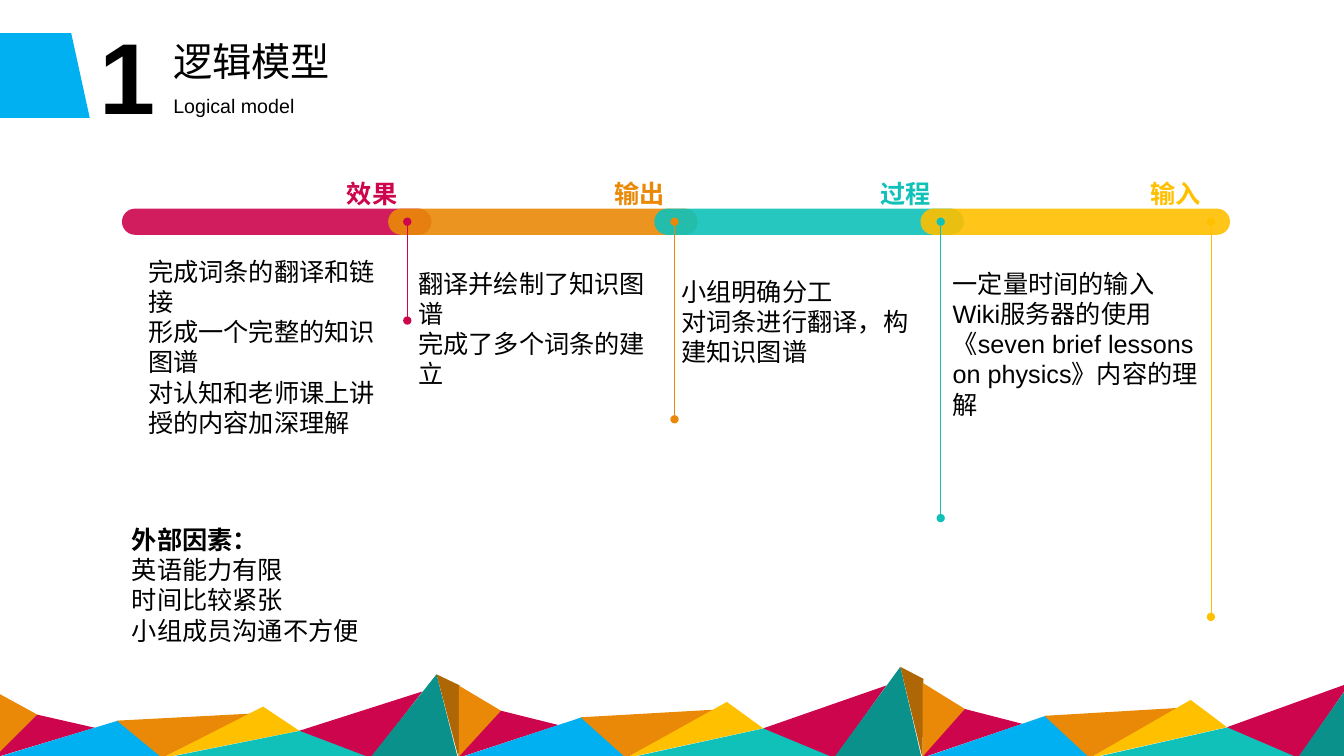
from lxml import etree
from pptx import Presentation
from pptx.dml.color import RGBColor
from pptx.enum.shapes import MSO_CONNECTOR, MSO_SHAPE
from pptx.enum.text import MSO_ANCHOR, PP_ALIGN
from pptx.oxml.ns import qn
from pptx.util import Inches, Pt

ROUNDED = MSO_SHAPE.ROUNDED_RECTANGLE
MANUAL_INPUT = MSO_SHAPE.FLOWCHART_MANUAL_INPUT
STRAIGHT = MSO_CONNECTOR.STRAIGHT
LEFT, RIGHT = PP_ALIGN.LEFT, PP_ALIGN.RIGHT
TOP = MSO_ANCHOR.TOP

COLORS = {
    "black": "000000",
    "blue": "00B0F0",
    "crimson": "CD054C",
    "orange": "EA8908",
    "teal": "0FC1B9",
    "yellow": "FFC000",
    "dark teal": "0B918B",
    "brown": "AF6706",
}
FONT = "Arial"
SLIDE_W, SLIDE_H = 13.33, 7.5

# (text, size, bold, box)
HEADINGS = [
    ("1", 72, True, (0.89, 0.09, 1.46, 1.31)),
    ("逻辑模型", 28, False, (1.62, 0.32, 1.79, 0.57)),
    ("Logical model", 14, False, (1.62, 0.88, 1.79, 0.34)),
]

# (label, color, marker x, body box, body lines)
STAGES = [
    ("效果", "crimson", 4.04, (1.37, 2.49, 2.67, 1.92),
     ["完成词条的翻译和链接", "形成一个完整的知识图谱", "对认知和老师课上讲授的内容加深理解"]),
    ("输出", "orange", 6.69, (4.05, 2.61, 2.67, 1.31),
     ["翻译并绘制了知识图谱", "完成了多个词条的建立"]),
    ("过程", "teal", 9.33, (6.66, 2.69, 2.67, 1.25),
     ["小组明确分工", "对词条进行翻译，构建知识图谱"]),
    ("输入", "yellow", 12.01, (9.35, 2.61, 2.67, 1.85),
     ["一定量时间的输入", "Wiki服务器的使用", "《seven brief lessons on physics》内容的理解"]),
]
BAR_LEFT, BAR_TOP, BAR_W, BAR_H, BAR_PITCH = 1.21, 2.07, 3.07, 0.26, 2.64
MARKER_STEP = 0.98
LABEL_TOP, LABEL_W, LABEL_H = 1.57, 0.71, 0.5

FACTORS_TITLE = "外部因素："
FACTORS = ["英语能力有限", "时间比较紧张", "小组成员沟通不方便"]
FACTORS_BOX = (1.21, 5.15, 7.43, 1.31)

# (color, corners as x and height above the ground)
FACETS = [
    ("orange", [(-0.05, 0), (-0.05, 0.66), (0.37, 0.43)]),
    ("crimson", [(-0.06, 0), (0.37, 0.43), (0.94, 0.3)]),
    ("blue", [(-0.05, 0), (1.17, 0.37), (1.63, 0)]),
    ("orange", [(1.16, 0.37), (2.49, 0.44), (1.61, 0)]),
    ("yellow", [(2.97, 0.27), (1.61, 0), (2.61, 0.51)]),
    ("teal", [(3.7, 0), (1.63, 0), (2.98, 0.27)]),
    ("crimson", [(3.68, 0), (2.97, 0.27), (4.19, 0.66)]),
    ("dark teal", [(4.54, 0), (3.67, 0), (4.33, 0.83)]),
    ("brown", [(4.56, 0.72), (4.55, 0), (4.33, 0.83)]),
]
GROUND, RANGE_PITCH = 7.52, 4.6
RANGE_SCALES = [1, 1.09, 1.13]


def rgb(color):
    """Return the named colour."""
    return RGBColor.from_string(COLORS[color])


def paint(shape, color):
    """Give a shape a plain fill without line or shadow."""
    shape.shadow.inherit = False
    shape.fill.solid()
    shape.fill.fore_color.rgb = rgb(color)
    shape.line.fill.background()


def add_text(slide, box, lines, size, color="black", bold_count=0,
             align=LEFT, spacing=None, wrap=True):
    """Write lines in a text box, the first bold_count of them bold."""
    frame = slide.shapes.add_textbox(*map(Inches, box)).text_frame
    frame.word_wrap = wrap
    frame.vertical_anchor = TOP
    for index, line in enumerate(lines):
        paragraph = frame.paragraphs[0] if index == 0 else frame.add_paragraph()
        paragraph.text = line
        paragraph.alignment = align
        if spacing:
            paragraph.line_spacing = spacing
        font = paragraph.font
        font.name, font.size, font.bold = FONT, Pt(size), index < bold_count
        font.color.rgb = rgb(color)


def add_mountains(slide):
    """Draw the repeating ranges of facets along the bottom."""
    for number, scale in enumerate(RANGE_SCALES):
        for color, corners in FACETS:
            points = [(Inches(x + number * RANGE_PITCH), Inches(GROUND - height * scale))
                      for x, height in corners]
            if min(x for x, _ in points) < Inches(SLIDE_W):
                outline = slide.shapes.build_freeform(*points[0])
                outline.add_line_segments(points[1:], close=True)
                paint(outline.convert_to_shape(), color)


def add_bar(slide, left, color):
    """Draw one slightly transparent bar of the timeline."""
    bar = slide.shapes.add_shape(
        ROUNDED, *map(Inches, (left, BAR_TOP, BAR_W, BAR_H)))
    bar.adjustments[0] = 0.5
    paint(bar, color)
    tint = bar.fill._xPr.find(qn("a:solidFill"))[0]
    etree.SubElement(tint, qn("a:alpha")).set("val", "90000")


def add_marker(slide, x, length, color):
    """Draw a vertical line with a dot at each end."""
    top = BAR_TOP + BAR_H / 2
    marker = slide.shapes.add_connector(
        STRAIGHT, *map(Inches, (x, top, x, top + length)))
    marker.line.color.rgb = rgb(color)
    marker.line.width = Pt(0.5)
    outline = marker.line._get_or_add_ln()
    for end in ("a:headEnd", "a:tailEnd"):
        etree.SubElement(outline, qn(end)).set("type", "oval")
    etree.SubElement(marker._element.spPr, qn("a:effectLst"))


def main():
    """Build the logical model slide."""
    deck = Presentation()
    deck.slide_width, deck.slide_height = Inches(SLIDE_W), Inches(SLIDE_H)
    slide = deck.slides.add_slide(deck.slide_layouts[6])

    add_mountains(slide)
    tab = slide.shapes.add_shape(MANUAL_INPUT, *map(Inches, (0.01, 0.29, 0.84, 0.92)))
    tab.rotation = 90
    paint(tab, "blue")
    for text, size, bold, box in HEADINGS:
        add_text(slide, box, [text], size, bold_count=int(bold))

    for number, (_, color, *_) in enumerate(STAGES):
        add_bar(slide, BAR_LEFT + number * BAR_PITCH, color)
    for number, (label, color, x, body_box, body) in enumerate(STAGES, 1):
        add_text(slide, (x - LABEL_W, LABEL_TOP, LABEL_W, LABEL_H), [label], 18,
                 color, bold_count=1, align=RIGHT, spacing=1.5, wrap=False)
        add_text(slide, body_box, body, 18)
        add_marker(slide, x, number * MARKER_STEP, color)

    add_text(slide, FACTORS_BOX, [FACTORS_TITLE, *FACTORS], 18, bold_count=1)
    deck.save("out.pptx")


if __name__ == "__main__":
    main()
